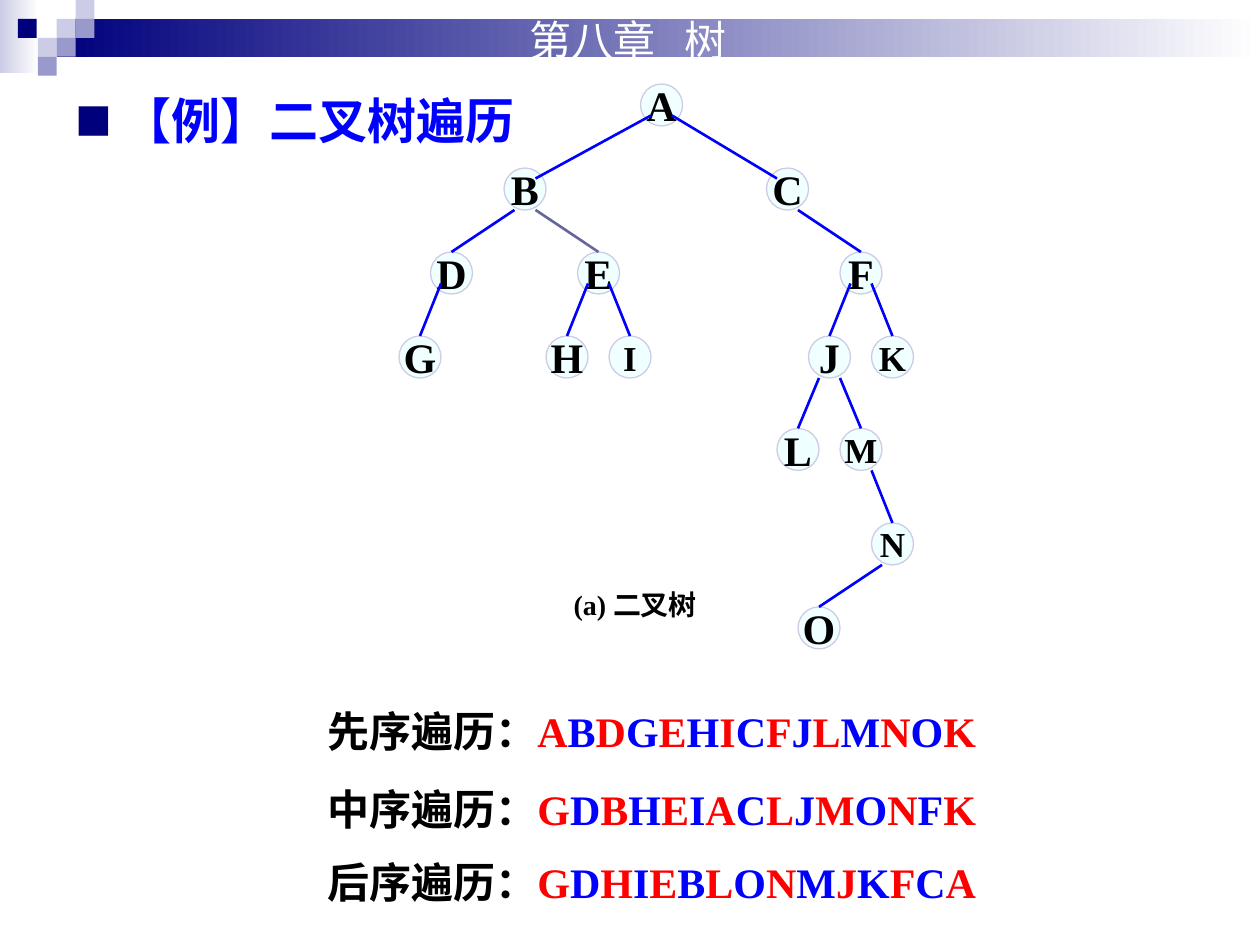
"""Build a slide on binary tree traversal with a tree and its three orders."""
from itertools import cycle
from lxml.etree import SubElement
from pptx import Presentation
from pptx.dml.color import RGBColor
from pptx.enum.shapes import MSO_CONNECTOR, MSO_SHAPE
from pptx.enum.text import MSO_ANCHOR, MSO_AUTO_SIZE, PP_ALIGN
from pptx.oxml.ns import qn
from pptx.util import Pt

PX = 7620
NAVY, PALE, MID, WHITE = "00007D", "CCCCE6", "9999CC", "FFFFFF"
RED, BLUE, BLACK = "FF0000", "0000FF", "000000"
SERIF, HAN = "Times New Roman", "Noto Sans CJK SC"

deck = Presentation()
deck.slide_width, deck.slide_height = 1200 * PX, 900 * PX
shapes = deck.slides.add_slide(deck.slide_layouts[6]).shapes


def color(code):
    return RGBColor.from_string(code)


def write(shape, *runs, size=24, face=SERIF, bold=True, align=None, wrap=True, grow=True):
    frame = shape.text_frame
    frame.word_wrap = wrap
    if grow:
        frame.auto_size = MSO_AUTO_SIZE.SHAPE_TO_FIT_TEXT
    para = frame.paragraphs[0]
    para.alignment = align
    for text, code in runs:
        run = para.add_run()
        run.text = text
        font = run.font
        font.size, font.bold, font.name = Pt(size), bold, face
        font.color.rgb = color(code)
        SubElement(font._element, qn("a:ea"), typeface=HAN)
    return para


blocks = [(0, 0, 37, 70, PALE, WHITE), (54, 18, 1146, 36, NAVY, WHITE)]
tiles = [(54, 18, PALE), (72, 0, PALE), (72, 18, MID), (36, 36, PALE),
         (17, 18, NAVY), (54, 36, MID), (36, 54, MID)]
blocks += [(x, y, 18, 18, code, None) for x, y, code in tiles]
for x, y, wide, high, code, fade in blocks:
    block = shapes.add_shape(MSO_SHAPE.RECTANGLE, x * PX, y * PX, wide * PX, high * PX)
    block.shadow.inherit = False
    block.line.fill.background()
    if fade:
        block.fill.gradient()
        block.fill.gradient_angle = 0
        for stop, tone in zip(block.fill.gradient_stops, (code, fade)):
            stop.color.rgb = color(tone)
    else:
        block.fill.solid()
        block.fill.fore_color.rgb = color(code)

title = shapes.add_textbox(493 * PX, 8 * PX, 290 * PX, 60 * PX)
write(title, ("第八章   树", WHITE), face=HAN, bold=False)

body = shapes.add_textbox(60 * PX, 80 * PX, 1080 * PX, 820 * PX)
para = write(body, ("【例】二叉树遍历", BLUE), size=28, face="Arial", grow=False)
props = para._p.get_or_add_pPr()
props.set("marL", str(45 * PX))
props.set("indent", str(-45 * PX))
SubElement(SubElement(props, qn("a:buClr")), qn("a:srgbClr"), val=NAVY)
SubElement(props, qn("a:buSzPct"), val="75000")
SubElement(props, qn("a:buFont"), typeface=HAN)
SubElement(props, qn("a:buChar"), char="■")

nodes = {"A": (610, 80), "B": (480, 160), "C": (730, 160), "D": (410, 240),
         "E": (550, 240), "F": (800, 240), "G": (380, 320), "H": (520, 320),
         "I": (580, 320), "J": (770, 320), "K": (830, 320), "L": (740, 408),
         "M": (800, 408), "N": (830, 498), "O": (760, 578)}
for name, (x, y) in nodes.items():
    node = shapes.add_shape(MSO_SHAPE.OVAL, x * PX, y * PX, 40 * PX, 40 * PX)
    node.shadow.inherit = False
    node.fill.solid()
    node.fill.fore_color.rgb = color("F0FFFF")
    node.line.color.rgb = color(PALE)
    node.line.width = Pt(0.75)
    node.text_frame.vertical_anchor = MSO_ANCHOR.MIDDLE
    write(node, (name, BLACK), size=20 if name in "IKMN" else 24,
          align=PP_ALIGN.CENTER, wrap=False, grow=False)

for top, kid in "AB AC BD BE CF DG EH EI FJ FK JL JM MN NO".split():
    (x, y), (left, down) = nodes[top], nodes[kid]
    near, far = (10, 30) if left < x else (30, 10)
    drop = 30 if top in "ADEF" else 40
    dx, dy = (far, 10) if top == "A" else (20, 0)
    edge = shapes.add_connector(MSO_CONNECTOR.STRAIGHT, (x + near) * PX, (y + drop) * PX,
                                (left + dx) * PX, (down + dy) * PX)
    edge.line.color.rgb = color("666699" if top + kid == "BE" else BLUE)
    edge.line.width = Pt(1.5)
    SubElement(edge._element.spPr, qn("a:effectLst"))

label = shapes.add_textbox(450 * PX, 554 * PX, 310 * PX, 44 * PX)
write(label, ("(a) 二叉树", BLACK), size=16, align=PP_ALIGN.CENTER)

orders = [(666, "先序遍历：", "ABDGEHICFJLMNOK"),
          (740, "中序遍历：", "GDBHEIACLJMONFK"),
          (810, "后序遍历：", "GDHIEBLONMJKFCA")]
for y, head, walk in orders:
    row = shapes.add_textbox(300 * PX, y * PX, 656 * PX, 60 * PX)
    write(row, (head, BLACK), *zip(walk, cycle((RED, BLUE))))

deck.save("out.pptx")
